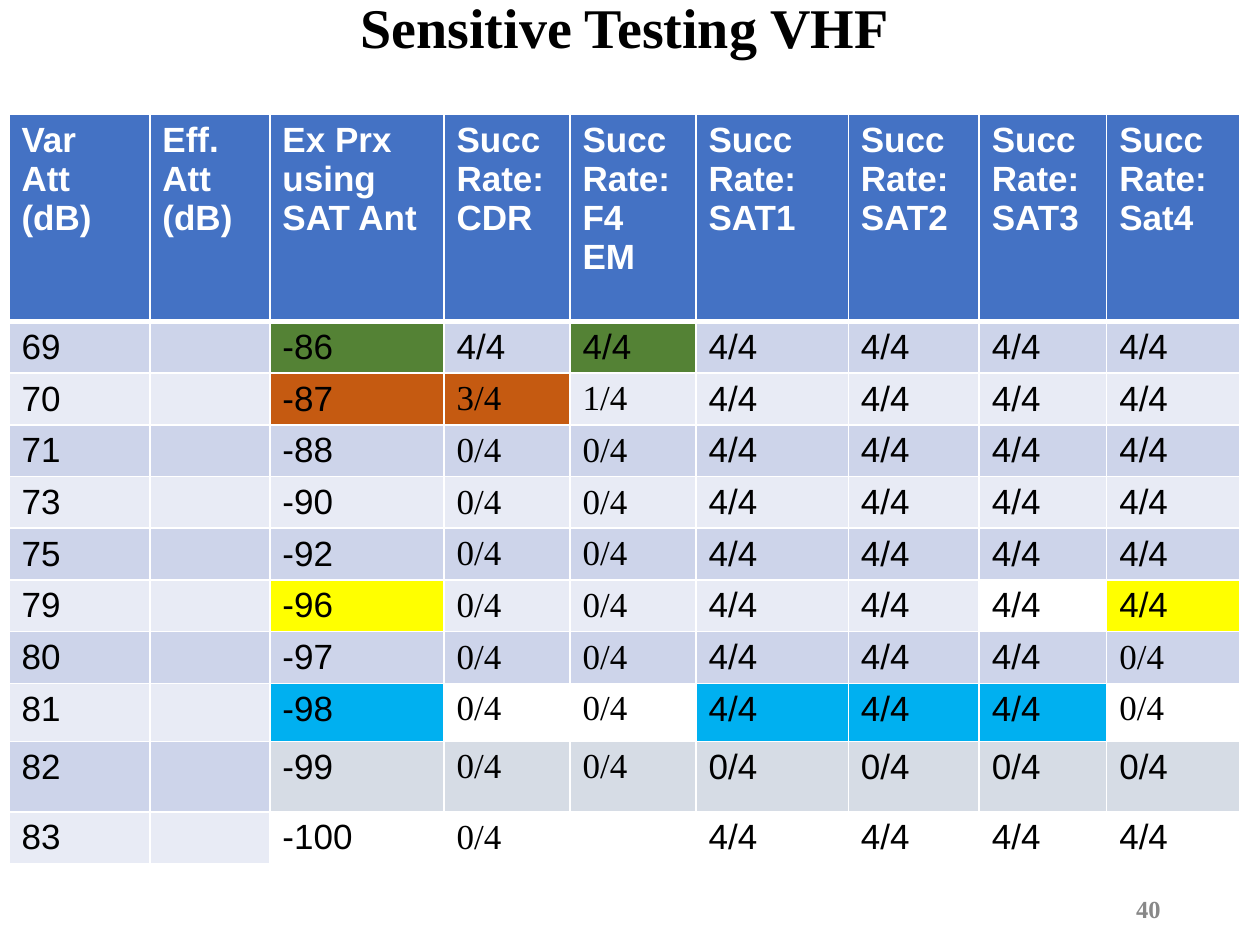
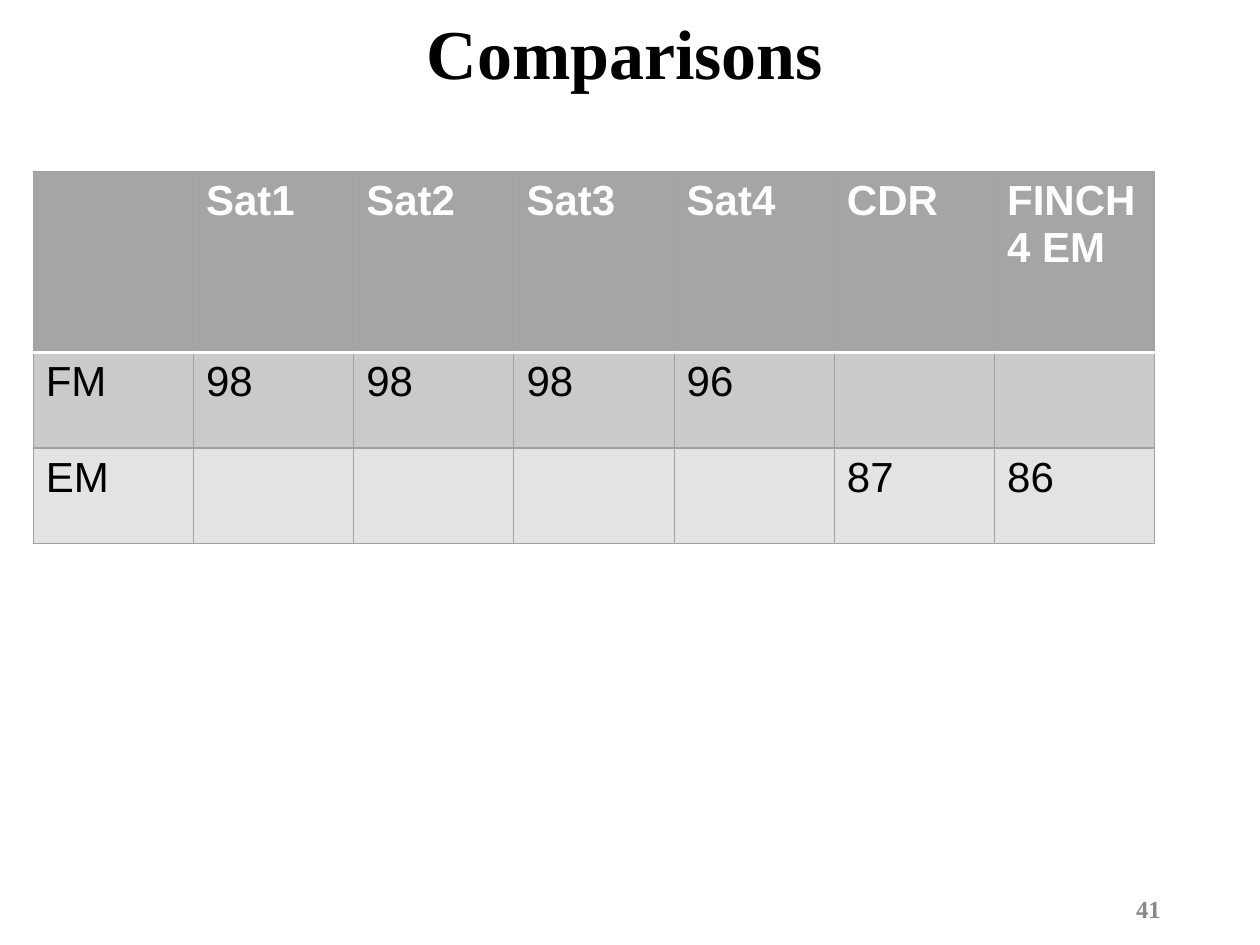
from dataclasses import dataclass, field

from lxml import etree
from pptx import Presentation
from pptx import util as u
from pptx.dml import color as c
from pptx.enum import text
from pptx.oxml import ns


@dataclass(frozen=True)
class Theme:
    sans: str = "Arial"
    serif: str = "Times New Roman"
    black: str = "000000"
    white: str = "FFFFFF"
    number_gray: str = "888888"
    blue: str = "4472C4"
    blue_bands: tuple[str, ...] = ("CDD4EA", "E8EBF5")
    gray: str = "A5A5A5"
    gray_bands: tuple[str, ...] = ("CACACA", "E3E3E3")
    gray_line: str = "A1A1A1"
    green: str = "548235"
    orange: str = "C55A11"
    yellow: str = "FFFF00"
    cyan: str = "00B0F0"
    pale: str = "D6DCE5"
    rates_title_size: int = 32
    comparison_title_size: int = 40
    number_size: int = 14
    rates_size: int = 20
    comparison_size: int = 24


THEME = Theme()


@dataclass(frozen=True)
class Type:
    size: int
    color: str
    font: str = THEME.sans
    bold: bool = False


@dataclass(frozen=True)
class Label:
    words: str
    left: float
    top: float
    width: float
    height: float
    type: Type
    align: text.PP_ALIGN
    line_spacing: float = 1.0


@dataclass(frozen=True)
class Grid:
    left: float
    top: float
    widths: list[float]
    heights: list[float]
    rows: list[list[str]]
    size: int
    header_fill: str
    bands: tuple[str, ...]
    line: tuple[str, float]
    header_line: tuple[str, float]
    fills: dict[tuple[int, int], str] = field(default_factory=dict)
    serif_cells: frozenset[tuple[int, int]] = frozenset()


def add_text(frame, words: str, style: Type, align=None, spacing=None) -> None:
    for index, line in enumerate(words.split("\n")):
        para = frame.paragraphs[0] if index == 0 else frame.add_paragraph()
        para.alignment = align
        para.line_spacing = spacing
        span = para.add_run()
        span.text = line
        span.font.name = style.font
        span.font.size = u.Pt(style.size)
        span.font.bold = style.bold
        span.font.color.rgb = c.RGBColor.from_string(style.color)


def add_label(page, label: Label) -> None:
    box = page.shapes.add_textbox(u.Cm(label.left), u.Cm(label.top),
                                  u.Cm(label.width), u.Cm(label.height))
    frame = box.text_frame
    frame.word_wrap = True
    frame.auto_size = text.MSO_AUTO_SIZE.NONE
    frame.vertical_anchor = text.MSO_ANCHOR.MIDDLE
    add_text(frame, label.words, label.type, label.align, label.line_spacing)


def add_border(cell, side: str, color: str, width: float) -> None:
    properties = cell._tc.get_or_add_tcPr()
    line = etree.SubElement(properties, ns.qn(f"a:ln{side}"), w=str(u.Pt(width)))
    fill = etree.SubElement(line, ns.qn("a:solidFill"))
    etree.SubElement(fill, ns.qn("a:srgbClr"), val=color)


def add_grid(page, grid: Grid) -> None:
    table = page.shapes.add_table(
        len(grid.rows), len(grid.widths), u.Cm(grid.left), u.Cm(grid.top),
        u.Cm(sum(grid.widths)), u.Cm(sum(grid.heights))).table
    table.horz_banding = False
    for column, width in zip(table.columns, grid.widths):
        column.width = u.Cm(width)
    for row, height in zip(table.rows, grid.heights):
        row.height = u.Cm(height)
    for r, values in enumerate(grid.rows):
        header = r == 0
        band = grid.header_fill if header else grid.bands[(r - 1) % 2]
        for k, words in enumerate(values):
            cell = table.cell(r, k)
            edges = {"L": grid.line, "R": grid.line,
                     "T": grid.header_line if r == 1 else grid.line,
                     "B": grid.header_line if header else grid.line}
            for side, (color, width) in edges.items():
                add_border(cell, side, color, width)
            cell.fill.solid()
            cell.fill.fore_color.rgb = c.RGBColor.from_string(grid.fills.get((r, k), band))
            if words:
                font = THEME.serif if (r, k) in grid.serif_cells else THEME.sans
                color = THEME.white if header else THEME.black
                add_text(cell.text_frame, words, Type(grid.size, color, font, header))


def add_page(deck, title: str, title_size: int, title_height: float,
             number: int, grid: Grid) -> None:
    page = deck.slides.add_slide(deck.slide_layouts[6])
    add_label(page, Label(title, 0.68, 0, 23.83, title_height,
                          Type(title_size, THEME.black, THEME.serif, True),
                          text.PP_ALIGN.CENTER, 0.9))
    add_label(page, Label(str(number), 17.93, 17.8, 5.72, 1.02,
                          Type(THEME.number_size, THEME.number_gray, THEME.serif, True),
                          text.PP_ALIGN.RIGHT))
    add_grid(page, grid)


def sensitivity_grid() -> Grid:
    header = ["Var\nAtt (dB)", "Eff. Att (dB)", "Ex Prx using SAT Ant",
              "Succ Rate: CDR", "Succ Rate: F4 EM", "Succ Rate: SAT1",
              "Succ Rate:\nSAT2", "Succ Rate:\nSAT3", "Succ Rate:\nSat4"]
    full, none = "4/4", "0/4"
    rates = [
        (69, full, full, full, full),
        (70, "3/4", "1/4", full, full),
        (71, none, none, full, full),
        (73, none, none, full, full),
        (75, none, none, full, full),
        (79, none, none, full, full),
        (80, none, none, full, none),
        (81, none, none, full, none),
        (82, none, none, none, none),
        (83, none, "", full, full),
    ]
    rows = [[str(att), "", str(-17 - att), cdr, em, sat, sat, sat, sat4]
            for att, cdr, em, sat, sat4 in rates]
    highlights = [
        (1, THEME.green, (2, 4)),
        (2, THEME.orange, (2, 3)),
        (6, THEME.yellow, (2, 8)),
        (6, THEME.white, (7,)),
        (8, THEME.cyan, (2, 5, 6, 7)),
        (8, THEME.white, (3, 4, 8)),
        (9, THEME.pale, range(2, 9)),
        (10, THEME.white, range(2, 9)),
    ]
    return Grid(
        left=0.18, top=2.3,
        widths=[2.84, 2.42, 3.51, 2.54, 2.54, 3.07, 2.64, 2.57, 2.69],
        heights=[4.18] + [1.04] * 7 + [1.17, 1.42, 1.04],
        rows=[header] + rows,
        size=THEME.rates_size,
        header_fill=THEME.blue, bands=THEME.blue_bands,
        line=(THEME.white, 1), header_line=(THEME.white, 3),
        fills={(r, k): color for r, color, columns in highlights for k in columns},
        serif_cells=frozenset({(r, k) for r in range(2, 11) for k in (3, 4)}
                              | {(7, 8), (8, 8)}),
    )


def comparison_grid() -> Grid:
    return Grid(
        left=0.67, top=3.46, widths=[3.23] * 7, heights=[3.64, 1.93, 1.93],
        rows=[["", "Sat1", "Sat2", "Sat3", "Sat4", "CDR", "FINCH 4 EM"],
              ["FM", "98", "98", "98", "96", "", ""],
              ["EM", "", "", "", "", "87", "86"]],
        size=THEME.comparison_size,
        header_fill=THEME.gray, bands=THEME.gray_bands,
        line=(THEME.gray_line, 0.75), header_line=(THEME.white, 2),
    )


def main() -> None:
    deck = Presentation()
    deck.slide_width = u.Cm(25.4)
    deck.slide_height = u.Cm(19.05)
    add_page(deck, "Sensitive Testing VHF", THEME.rates_title_size, 1.24, 40,
             sensitivity_grid())
    add_page(deck, "Comparisons", THEME.comparison_title_size, 2.31, 41,
             comparison_grid())
    deck.save("out.pptx")


if __name__ == "__main__":
    main()
